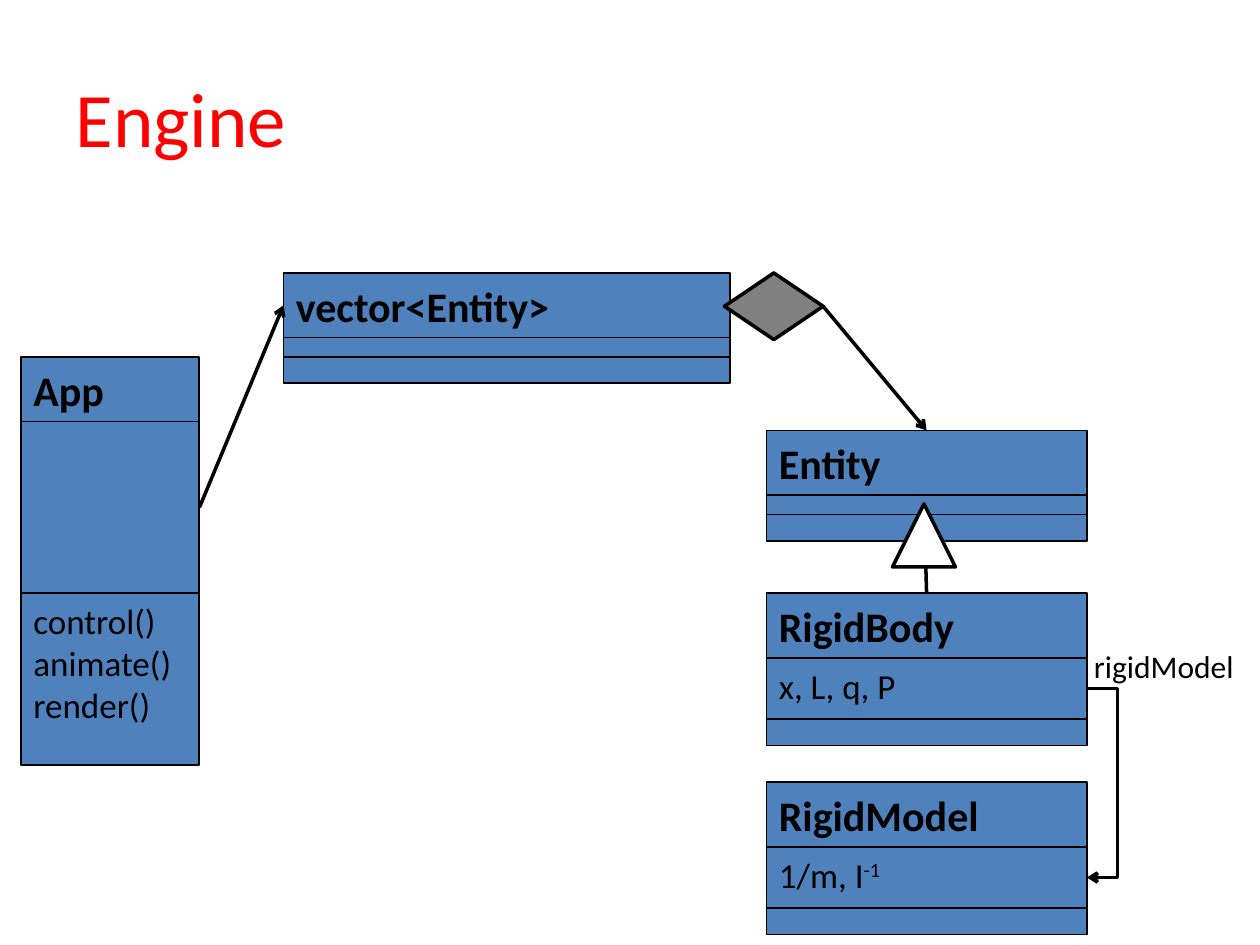
from lxml import etree
from pptx import Presentation
from pptx import util as u
from pptx.dml.color import RGBColor
from pptx.enum import shapes, text
from pptx.oxml.ns import qn

BLACK, BLUE, GRAY, WHITE, RED = "000000", "4F81BD", "808080", "FFFFFF", "FF0000"
TOP, LEFT, RIGHT = 0, 1, 3
HEADER, SLIM, FOOT, FIELDS, TALL = 6.15, 1.85, 2.5, 5.85, 16.35


def color(hex_code):
    return RGBColor.from_string(hex_code)


class ClassDiagram:
    """Draws UML parts on one slide, measured in a grid of 120 columns by 90 rows."""

    font = "Calibri"

    def __init__(self, deck):
        self.cell = deck.slide_width / 120
        self.slide = deck.slides.add_slide(deck.slide_layouts[5])

    def grid(self, *lengths):
        return [u.Emu(round(length * self.cell)) for length in lengths]

    def style(self, frame, size, hex_code=BLACK, bold=False):
        for paragraph in frame.paragraphs:
            paragraph.alignment = text.PP_ALIGN.LEFT
            for run in paragraph.runs:
                run.font.name, run.font.size = self.font, u.Pt(size)
                run.font.bold = bold
                run.font.color.rgb = color(hex_code)

    def title(self, words, *place):
        heading = self.slide.shapes.title
        heading.left, heading.top, heading.width, heading.height = self.grid(*place)
        heading.text_frame.text = words
        heading.text_frame.vertical_anchor = text.MSO_ANCHOR.MIDDLE
        self.style(heading.text_frame, 44, RED)

    def shape(self, kind, place, fill, weight, parent=None):
        owner = parent or self.slide
        part = owner.shapes.add_shape(kind, *self.grid(*place))
        part.shadow.inherit = False
        part.fill.solid()
        part.fill.fore_color.rgb = color(fill)
        part.line.color.rgb, part.line.width = color(BLACK), u.Pt(weight)
        return part

    def class_box(self, left, top, width, heights, texts):
        group = self.slide.shapes.add_group_shape()
        sections = []
        for index, (height, words) in enumerate(zip(heights, texts)):
            section = self.shape(shapes.MSO_SHAPE.RECTANGLE,
                                 (left, top, width, height), BLUE, 1, group)
            frame = section.text_frame
            frame.word_wrap = False
            is_name = index == 0
            frame.vertical_anchor = text.MSO_ANCHOR.MIDDLE if is_name else text.MSO_ANCHOR.TOP
            if words:
                frame.text = words
                self.style(frame, 24 if is_name else 20, bold=is_name)
            sections.append(section)
            top += height
        return sections

    def superscript(self, section, words):
        run = section.text_frame.paragraphs[0].add_run()
        run.text = words
        self.style(section.text_frame, 20)
        run._r.get_or_add_rPr().set("baseline", "30000")

    def stroke(self, connector, arrow):
        connector.line.color.rgb, connector.line.width = color(BLACK), u.Pt(2)
        properties = connector._element.spPr
        if arrow:
            etree.SubElement(properties.find(qn("a:ln")), qn("a:tailEnd"), type="arrow")
        etree.SubElement(properties, qn("a:effectLst"))
        return connector

    def link(self, start, start_site, end=None, end_site=TOP, arrow=True):
        connector = self.slide.shapes.add_connector(shapes.MSO_CONNECTOR.STRAIGHT, 0, 0, 0, 0)
        connector.begin_connect(start, start_site)
        if end is not None:
            connector.end_connect(end, end_site)
        return self.stroke(connector, arrow)

    def side_loop(self, column, start_row, end_row, reach):
        span = 0.02
        connector = self.slide.shapes.add_connector(
            shapes.MSO_CONNECTOR.ELBOW, *self.grid(column, start_row, column + span, end_row))
        guides = connector._element.spPr.find(qn("a:prstGeom")).get_or_add_avLst()
        etree.SubElement(guides, qn("a:gd"), name="adj1",
                         fmla=f"val {round(reach / span * 100000)}")
        self.stroke(connector, True)

    def label(self, words, *place):
        frame = self.slide.shapes.add_textbox(*self.grid(*place)).text_frame
        frame.word_wrap = False
        frame.auto_size = text.MSO_AUTO_SIZE.SHAPE_TO_FIT_TEXT
        frame.text = words
        self.style(frame, 18)


def main():
    deck = Presentation()
    deck.slide_width, deck.slide_height = u.Inches(10), u.Inches(7.5)
    diagram = ClassDiagram(deck)
    diagram.title("Engine", 6, 3.6, 108, 15)

    app = diagram.class_box(2, 34, 17, (HEADER, TALL, TALL),
                            ("App", "", "control()\nanimate()\nrender()"))
    column, width = 73, 30.5
    entity = diagram.class_box(column, 41, width, (HEADER, SLIM, FOOT), ("Entity", "", ""))
    body_row, model_row = 56.5, 74.5
    body = diagram.class_box(column, body_row, width, (HEADER, FIELDS, FOOT),
                             ("RigidBody", "x, L, q, P", ""))
    model = diagram.class_box(column, model_row, width, (HEADER, FIELDS, FOOT),
                              ("RigidModel", "1/m, I", ""))
    diagram.superscript(model[1], "-1")

    inheritance = diagram.link(body[0], TOP, arrow=False)
    triangle = diagram.shape(shapes.MSO_SHAPE.ISOSCELES_TRIANGLE, (85, 48, 6, 6), WHITE, 2)
    inheritance.end_connect(triangle, TOP)

    fields_middle = HEADER + FIELDS / 2
    diagram.side_loop(column + width, body_row + fields_middle, model_row + fields_middle, 3.1)
    diagram.label("rigidModel", 103, 61, 16.2, 4.8)

    entities = diagram.class_box(27, 26, 42.5, (HEADER, SLIM, FOOT), ("vector<Entity>", "", ""))
    diagram.link(app[1], RIGHT, entities[0], LEFT)
    aggregation = diagram.shape(shapes.MSO_SHAPE.DIAMOND, (69, 26, 9.4, 6.35), GRAY, 2)
    diagram.link(aggregation, RIGHT, entity[0], TOP)

    deck.save("out.pptx")


if __name__ == "__main__":
    main()
